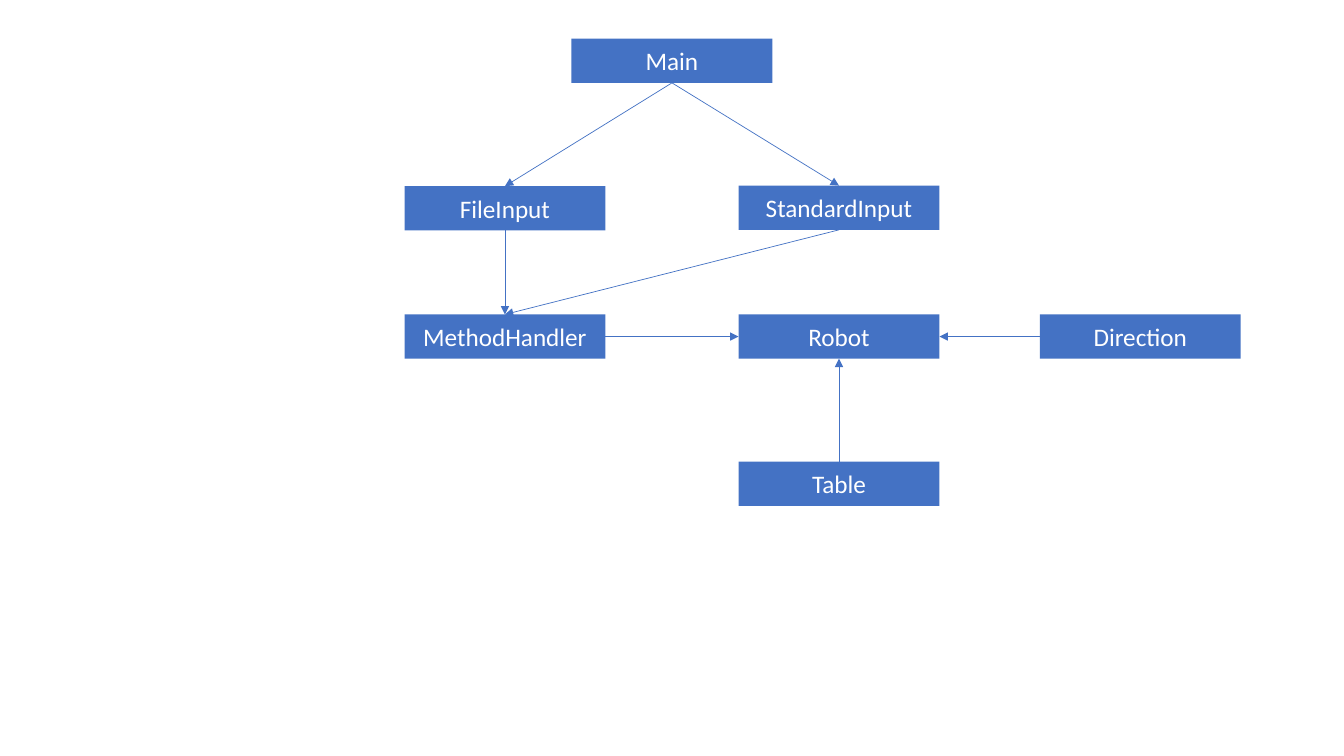
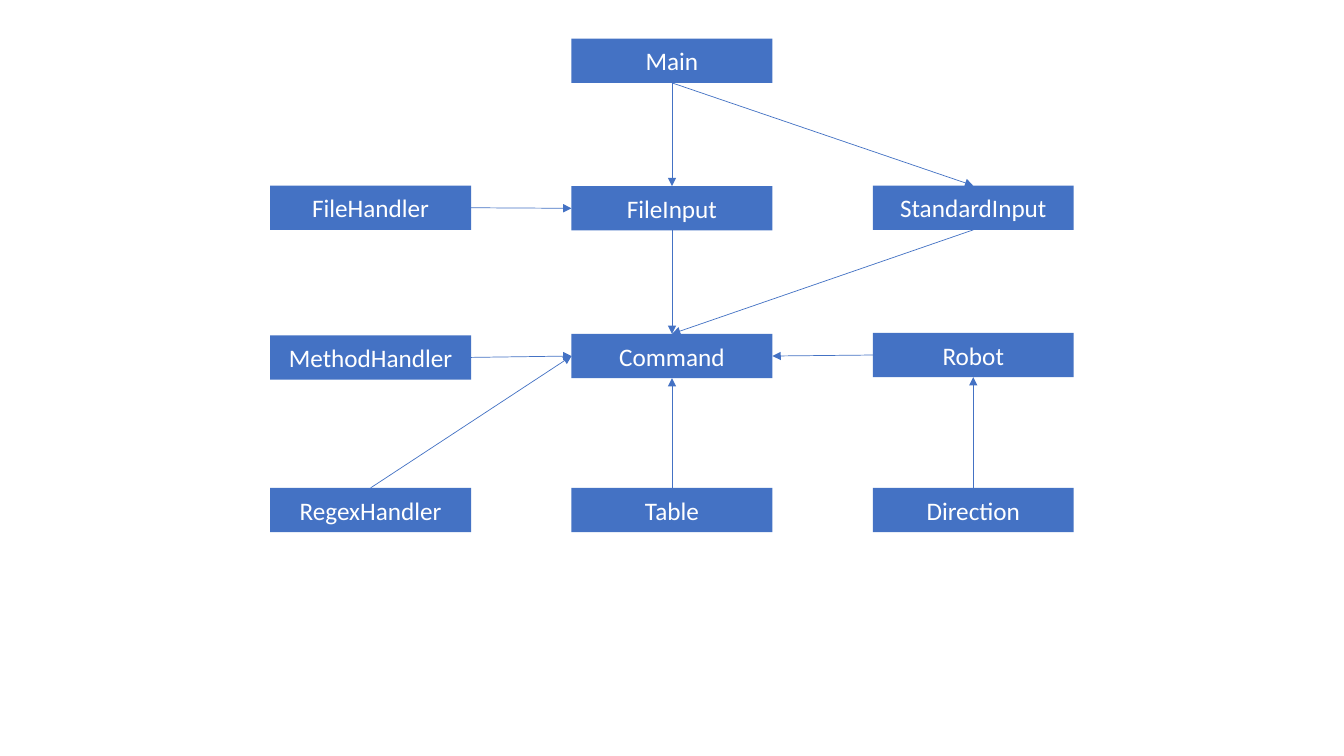
from lxml import etree
from pptx import Presentation
from pptx.dml.color import RGBColor
from pptx.enum.shapes import MSO_CONNECTOR, MSO_SHAPE
from pptx.enum.text import MSO_ANCHOR, PP_ALIGN
from pptx.oxml.ns import qn
from pptx.util import Pt

RECTANGLE = MSO_SHAPE.RECTANGLE
STRAIGHT = MSO_CONNECTOR.STRAIGHT
CENTER, MIDDLE = PP_ALIGN.CENTER, MSO_ANCHOR.MIDDLE
TOP, LEFT, BOTTOM, RIGHT = range(4)  # connection sites of a rectangle

# Shared style
BLUE = RGBColor(0x44, 0x72, 0xC4)
WHITE = RGBColor(0xFF, 0xFF, 0xFF)
FONT = "Calibri"
SLIDE_W, SLIDE_H = 960, 540
BOX_W, BOX_H = 143.5, 31.6
COLUMN_STEP = 1.5 * BOX_W
HALF_SPLIT = 119.3  # offset of the two branches around the centre

# Content: class -> (centre offset from the slide's middle, top)
# and arrows as (from, site, to, site)
FIRST_DESIGN = (
    {
        "Main": (0, 27.6),
        "FileInput": (-HALF_SPLIT, 133),
        "StandardInput": (HALF_SPLIT, 132.6),
        "MethodHandler": (-HALF_SPLIT, 224.6),
        "Robot": (HALF_SPLIT, 224.6),
        "Direction": (HALF_SPLIT + COLUMN_STEP, 224.6),
        "Table": (HALF_SPLIT, 329.8),
    },
    [
        ("Main", BOTTOM, "FileInput", TOP),
        ("Main", BOTTOM, "StandardInput", TOP),
        ("FileInput", BOTTOM, "MethodHandler", TOP),
        ("StandardInput", BOTTOM, "MethodHandler", TOP),
        ("MethodHandler", RIGHT, "Robot", LEFT),
        ("Direction", LEFT, "Robot", RIGHT),
        ("Table", TOP, "Robot", BOTTOM),
    ],
)
FINAL_DESIGN = (
    {
        "Main": (0, 27.6),
        "FileHandler": (-COLUMN_STEP, 132.6),
        "FileInput": (0, 133),
        "StandardInput": (COLUMN_STEP, 132.6),
        "MethodHandler": (-COLUMN_STEP, 239.5),
        "Command": (0, 238.5),
        "Robot": (COLUMN_STEP, 237.8),
        "RegexHandler": (-COLUMN_STEP, 348.5),
        "Table": (0, 348.5),
        "Direction": (COLUMN_STEP, 348.5),
    },
    [
        ("Main", BOTTOM, "FileInput", TOP),
        ("Main", BOTTOM, "StandardInput", TOP),
        ("FileHandler", RIGHT, "FileInput", LEFT),
        ("FileInput", BOTTOM, "Command", TOP),
        ("StandardInput", BOTTOM, "Command", TOP),
        ("MethodHandler", RIGHT, "Command", LEFT),
        ("RegexHandler", TOP, "Command", LEFT),
        ("Robot", LEFT, "Command", RIGHT),
        ("Table", TOP, "Command", BOTTOM),
        ("Direction", TOP, "Robot", BOTTOM),
    ],
)


def add_class_box(slide, name, offset, top):
    left = (SLIDE_W - BOX_W) / 2 + offset
    box = slide.shapes.add_shape(RECTANGLE, Pt(left), Pt(top), Pt(BOX_W), Pt(BOX_H))
    box.shadow.inherit = False
    box.fill.solid()
    box.fill.fore_color.rgb = BLUE
    box.line.fill.background()
    frame = box.text_frame
    frame.text = name
    frame.vertical_anchor = MIDDLE
    label = frame.paragraphs[0]
    label.alignment = CENTER
    font = label.runs[0].font
    font.name, font.size = FONT, Pt(18)
    font.color.rgb = WHITE
    return box


def add_arrow(slide, source, source_site, target, target_site):
    arrow = slide.shapes.add_connector(STRAIGHT, 0, 0, 0, 0)
    arrow.begin_connect(source, source_site)
    arrow.end_connect(target, target_site)
    arrow.line.color.rgb = BLUE
    arrow.line.width = Pt(0.5)
    # Arrowhead and no shadow
    etree.SubElement(arrow.line._get_or_add_ln(), qn("a:tailEnd"), type="triangle")
    etree.SubElement(arrow._element.spPr, qn("a:effectLst"))


# Build one slide per diagram
deck = Presentation()
deck.slide_width, deck.slide_height = Pt(SLIDE_W), Pt(SLIDE_H)
blank_layout = deck.slide_layouts[6]

for classes, arrows in (FIRST_DESIGN, FINAL_DESIGN):
    slide = deck.slides.add_slide(blank_layout)
    boxes = {name: add_class_box(slide, name, *place) for name, place in classes.items()}
    for source, source_site, target, target_site in arrows:
        add_arrow(slide, boxes[source], source_site, boxes[target], target_site)

deck.save("out.pptx")
